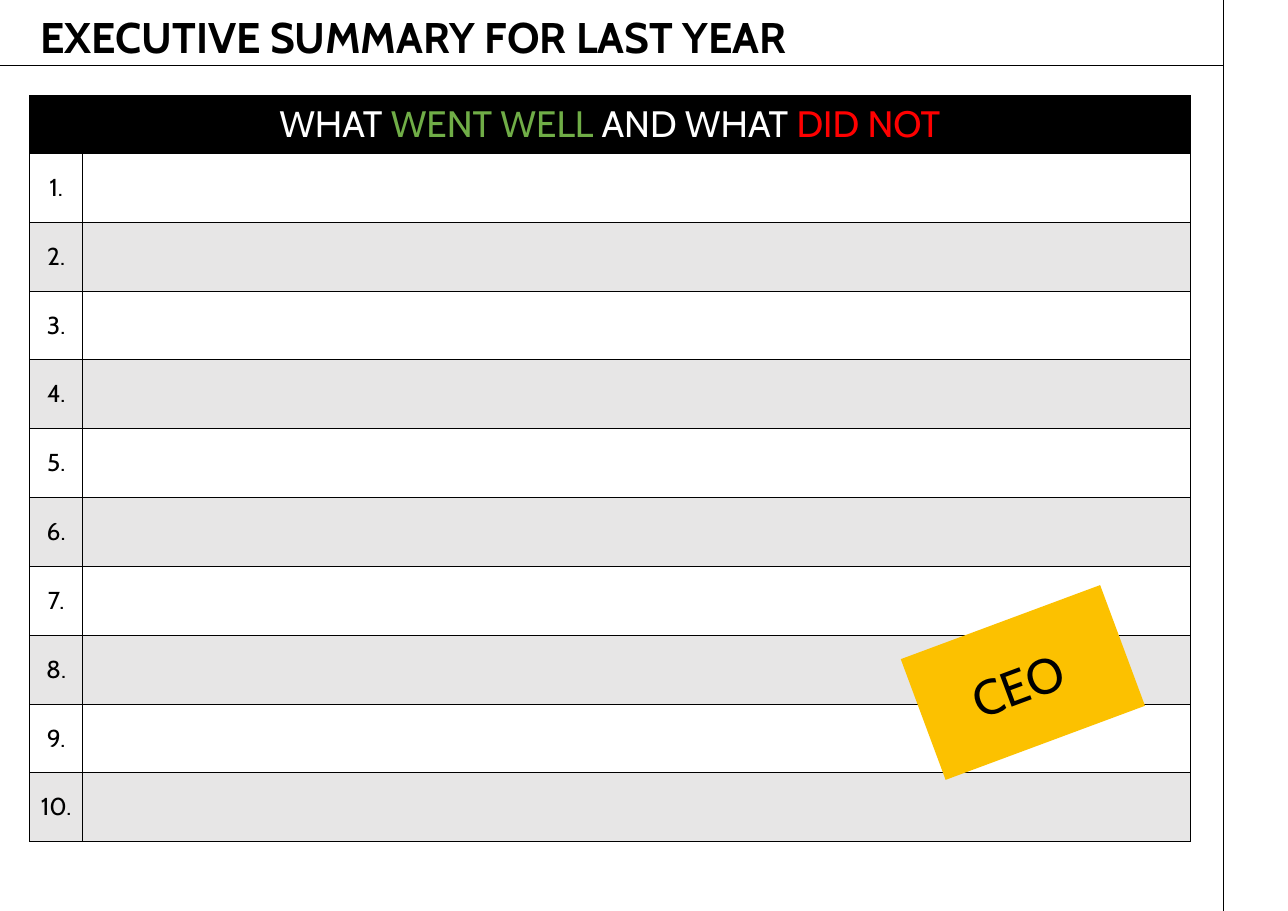
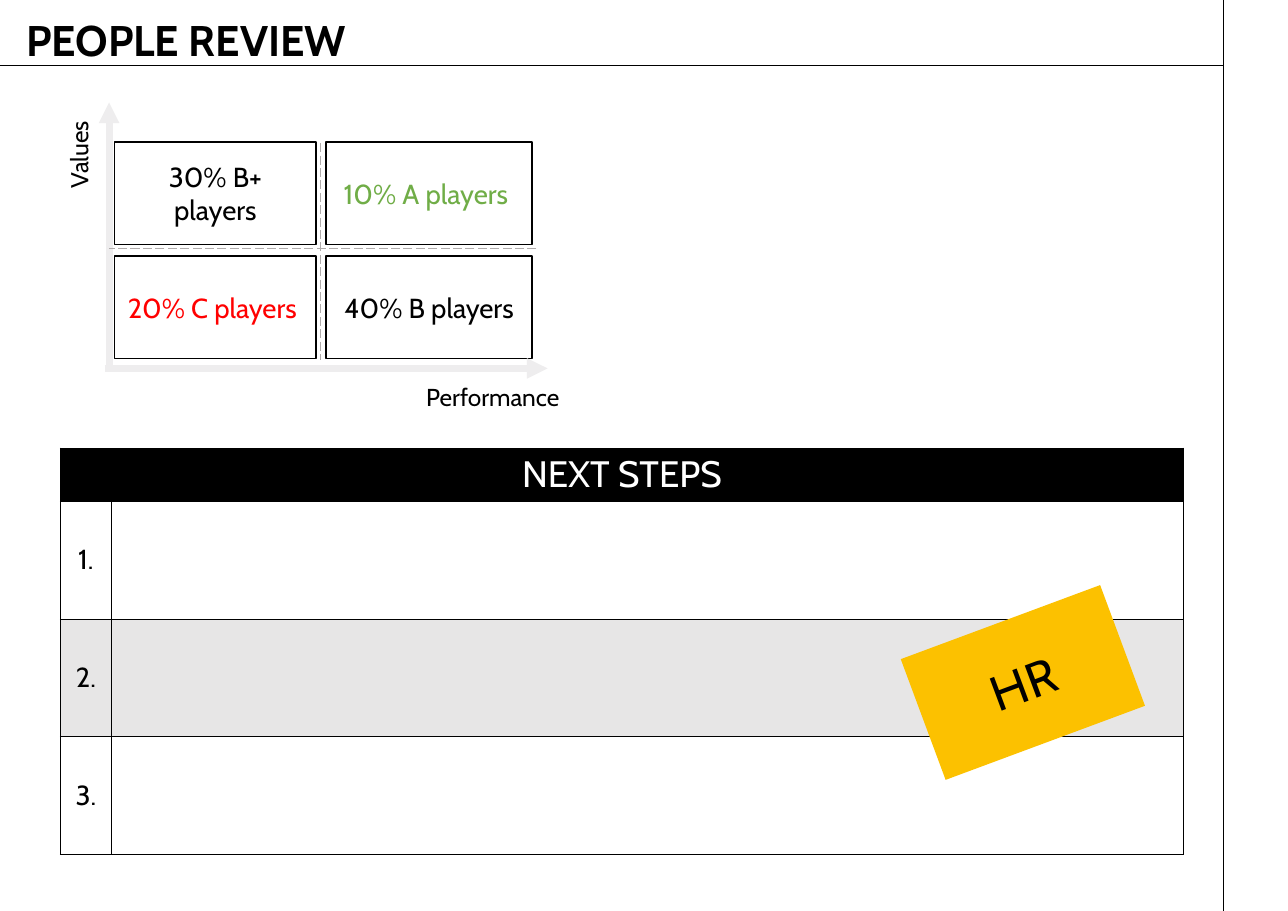
from dataclasses import dataclass

from pptx import Presentation
from pptx.dml.color import RGBColor
from pptx.enum.dml import MSO_LINE as Dash
from pptx.enum.shapes import MSO_CONNECTOR as Connector, MSO_SHAPE as Preset
from pptx.enum.text import MSO_ANCHOR as Anchor, PP_ALIGN as Align
from pptx.oxml import parse_xml
from pptx.oxml.ns import nsdecls, qn
from pptx.util import Pt


@dataclass(frozen=True)
class Theme:
    font: str = "Cabin"
    black: str = "000000"
    white: str = "FFFFFF"
    band: str = "E7E6E6"
    good: str = "70AD47"
    bad: str = "FF0000"
    sticky: str = "FCC100"
    axis: str = "EEEDEE"
    divider: str = "AFABAB"
    title_size: int = 28
    header_size: int = 24
    sticky_size: int = 32
    quadrant_size: int = 18
    axis_size: int = 16
    hairline: float = 0.5
    outline: float = 1


THEME = Theme()

# Content: positions and sizes are left, top, width, height in points
SLIDE_WIDTH, SLIDE_HEIGHT = 841.68, 595.44
FRAME_X, FRAME_Y = 799.2, 42.5
STICKY_BOX, STICKY_TURN = (599, 404, 139, 84.2), 339.6

SUMMARY = dict(
    title="EXECUTIVE SUMMARY FOR LAST YEAR",
    title_box=(19.4, 13.7, 688, 31),
    sticky="CEO ",
    table=dict(
        header=[("WHAT ", THEME.white), ("WENT WELL ", THEME.good),
                ("AND WHAT ", THEME.white), ("DID NOT", THEME.bad)],
        count=10, number_size=16, origin=(19.4, 62.6),
        widths=(34.6, 723.6), header_height=37.6, row_height=45,
    ),
)
PEOPLE = dict(
    title="PEOPLE REVIEW",
    title_box=(10, 15.1, 505, 31.7),
    sticky="HR",
    table=dict(
        header=[("NEXT STEPS", THEME.white)],
        count=3, number_size=18, origin=(39.6, 293),
        widths=(33.1, 700.6), header_height=34.6, row_height=77,
    ),
)

QUADRANTS = [
    [("30% B+ players", THEME.black), ("10% A players ", THEME.good)],
    [("20% C players ", THEME.bad), ("40% B players", THEME.black)],
]
QUADRANT_COLUMNS = [(74.9, 131.8), (213.1, 134.6)]
QUADRANT_TOPS, QUADRANT_HEIGHT = (92.9, 167.3), 67
AXES = [((71.3, 240.8), (71.3, 67)), ((68.4, 240.8), (357.8, 240.8))]
DIVIDERS = [((209.5, 93.6), (209.5, 235.4)), ((350.6, 162.7), (71.3, 162.7))]
AXIS_LABELS = [
    ("Values", (20.9, 87.8, 61.2, 26.6), 270, Align.CENTER),
    ("Performance", (271.4, 246.2, 124.6, 26.6), 0, Align.LEFT),
]


# Drawing helpers
def points(values):
    return [Pt(value) for value in values]


def rgb(value):
    return RGBColor.from_string(value)


def write(frame, runs, *, size, align=Align.CENTER, bold=False, spacing=None):
    paragraph = frame.paragraphs[0]
    paragraph.alignment = align
    if spacing:
        paragraph.line_spacing = spacing
    for text, color in runs:
        run = paragraph.add_run()
        run.text = text
        font = run.font
        font.name, font.size, font.bold = THEME.font, Pt(size), bold
        font.color.rgb = rgb(color)


def add_text(slide, box, runs, *, anchor=Anchor.TOP, turn=0, **style):
    label = slide.shapes.add_textbox(*points(box))
    label.rotation = turn
    label.text_frame.word_wrap = True
    label.text_frame.vertical_anchor = anchor
    write(label.text_frame, runs, **style)


def add_box(slide, box, runs, *, size, fill=None, line=None, turn=0):
    card = slide.shapes.add_shape(Preset.RECTANGLE, *points(box))
    card.shadow.inherit = False
    card.rotation = turn
    if fill:
        card.fill.solid()
        card.fill.fore_color.rgb = rgb(fill)
    else:
        card.fill.background()
    if line:
        card.line.color.rgb = rgb(line)
        card.line.width = Pt(THEME.outline)
    else:
        card.line.fill.background()
    card.text_frame.word_wrap = True
    card.text_frame.vertical_anchor = Anchor.MIDDLE
    write(card.text_frame, runs, size=size)


def add_line(slide, start, end, *, color, width, dash=None, arrow=False):
    rule = slide.shapes.add_connector(Connector.STRAIGHT, *points(start + end))
    rule.line.color.rgb = rgb(color)
    rule.line.width = Pt(width)
    if dash:
        rule.line.dash_style = dash
    properties = rule._element.spPr
    if arrow:
        properties.find(qn("a:ln")).append(
            parse_xml(f'<a:tailEnd {nsdecls("a")} type="triangle"/>'))
    properties.append(parse_xml(f'<a:effectLst {nsdecls("a")}/>'))


def format_cell(cell, fill, is_left, is_top):
    cell.fill.solid()
    cell.fill.fore_color.rgb = rgb(fill)
    cell.vertical_anchor = Anchor.MIDDLE
    cell.margin_left = cell.margin_right = cell.margin_top = cell.margin_bottom = 0
    properties = cell._tc.get_or_add_tcPr()
    for index, (side, heavy) in enumerate(
            [("L", is_left), ("R", False), ("T", is_top), ("B", False)]):
        width = Pt(THEME.outline if heavy else THEME.hairline)
        properties.insert(index, parse_xml(
            f'<a:ln{side} {nsdecls("a")} w="{width}"><a:solidFill>'
            f'<a:srgbClr val="{THEME.black}"/></a:solidFill></a:ln{side}>'))


def add_numbered_table(slide, header, count, number_size, origin, widths,
                       header_height, row_height):
    heights = [header_height] + [row_height] * count
    table = slide.shapes.add_table(
        len(heights), len(widths), *points(origin + (sum(widths), sum(heights)))).table
    table.first_row = table.horz_banding = False
    for column, width in zip(table.columns, widths):
        column.width = Pt(width)
    for number, height in enumerate(heights):
        table.rows[number].height = Pt(height)
        fill = THEME.white if number % 2 else THEME.band
        for position in range(len(widths)):
            format_cell(table.cell(number, position),
                        fill if number else THEME.black, position == 0, number == 0)
        if number:
            write(table.cell(number, 0).text_frame,
                  [(f"{number}.", THEME.black)], size=number_size)
    table.cell(0, 0).merge(table.cell(0, len(widths) - 1))
    write(table.cell(0, 0).text_frame, header, size=THEME.header_size)


# Parts of the slides
def add_frame(slide, content):
    for start, end in [((FRAME_X, FRAME_Y), (0, FRAME_Y)),
                       ((FRAME_X, SLIDE_HEIGHT), (FRAME_X, 0))]:
        add_line(slide, start, end, color=THEME.black, width=THEME.hairline)
    add_text(slide, content["title_box"], [(content["title"], THEME.black)],
             anchor=Anchor.BOTTOM, size=THEME.title_size, align=Align.LEFT,
             bold=True, spacing=0.9)


def add_player_matrix(slide):
    for top, row in zip(QUADRANT_TOPS, QUADRANTS):
        for (left, width), quadrant in zip(QUADRANT_COLUMNS, row):
            add_box(slide, (left, top, width, QUADRANT_HEIGHT), [quadrant],
                    size=THEME.quadrant_size, line=THEME.black)
    for start, end in AXES:
        add_line(slide, start, end, color=THEME.axis, width=4.5, arrow=True)
    for start, end in DIVIDERS:
        add_line(slide, start, end, color=THEME.divider, width=0.75,
                 dash=Dash.LONG_DASH)
    for label, box, turn, align in AXIS_LABELS:
        add_text(slide, box, [(label, THEME.black)], turn=turn, align=align,
                 size=THEME.axis_size)


def main():
    deck = Presentation()
    deck.slide_width, deck.slide_height = points((SLIDE_WIDTH, SLIDE_HEIGHT))
    for content in (SUMMARY, PEOPLE):
        slide = deck.slides.add_slide(deck.slide_layouts[6])
        add_frame(slide, content)
        if content is PEOPLE:
            add_player_matrix(slide)
        add_numbered_table(slide, **content["table"])
        add_box(slide, STICKY_BOX, [(content["sticky"], THEME.black)],
                size=THEME.sticky_size, fill=THEME.sticky, turn=STICKY_TURN)
    deck.save("out.pptx")


if __name__ == "__main__":
    main()
